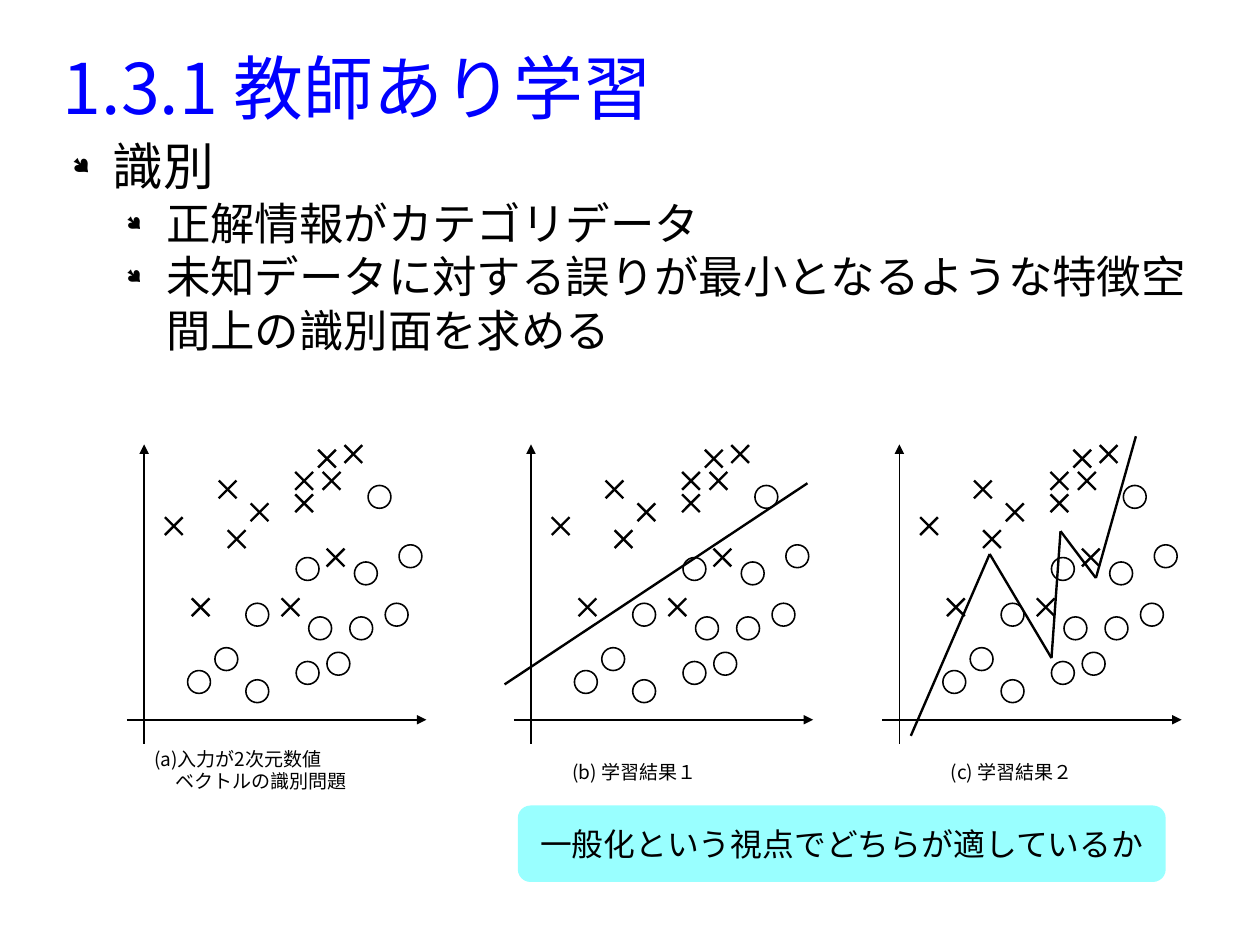
from itertools import pairwise

from lxml import etree
from pptx import Presentation
from pptx.dml.color import RGBColor
from pptx.enum.shapes import MSO_CONNECTOR, MSO_SHAPE
from pptx.enum.text import MSO_ANCHOR, PP_ALIGN
from pptx.oxml.ns import qn
from pptx.util import Pt

STRAIGHT = MSO_CONNECTOR.STRAIGHT
ELLIPSE = MSO_SHAPE.OVAL
ROUNDED = MSO_SHAPE.ROUNDED_RECTANGLE
TOP, MIDDLE = MSO_ANCHOR.TOP, MSO_ANCHOR.MIDDLE
LEFT, CENTER = PP_ALIGN.LEFT, PP_ALIGN.CENTER

CIRCLES = [
    (34.6, 23.8), (51.8, 38.2), (71.3, 66.2), (71.3, 18), (103, 29.5),
    (122.4, 35.3), (110.9, 57.6), (103, 95), (136.8, 57.6), (139.7, 92.2),
    (167.8, 103), (159.1, 66.2), (148.3, 140.4),
]
CROSSES = [
    (18.7, 122), (35.6, 70.9), (92.2, 70.9), (120.6, 102.2), (58.3, 113.8),
    (52.6, 145.1), (72.7, 130.7), (100.8, 136.4), (131.8, 167.4),
    (100.8, 150.5), (118.1, 150.5), (115.2, 164.5),
]
STRAIGHT_BOUNDARY = [(-16.6, 22.3), (174.2, 149)]
JAGGED_BOUNDARY = [
    (7.2, -10.1), (56.9, 104.4), (95.8, 38.9),
    (101.5, 118.8), (123.8, 89.3), (149, 178.6),
]
BASELINE = 453.4


def color(code):
    """Turn a hex string into a colour."""
    return RGBColor.from_string(code)


def apply(target, values):
    """Set every attribute named in a dict of format values."""
    for name, value in values.items():
        setattr(target, name, value)


class SlideBuilder:
    """Hold the style and the current slide."""

    font = "Noto Sans CJK JP"
    ink = "000000"
    title_ink = "0000FF"
    accent = "99FFFF"

    def __init__(self, page):
        """Keep the slide to draw on."""
        self.page = page

    def span(self, para, text, size, ink=None):
        """Add a formatted run to a paragraph."""
        span = para.add_run()
        span.text = text
        apply(span.font, {"size": Pt(size), "name": self.font})
        span.font.color.rgb = color(ink or self.ink)
        props = span.font._element
        etree.SubElement(props, qn("a:ea"), typeface=self.font)

    def frame(self, shape, margins=(0, 0), anchor=TOP, wrap=True):
        """Format a text frame and return it."""
        side, edge = margins
        apply(shape.text_frame, {
            "margin_left": Pt(side), "margin_right": Pt(side),
            "margin_top": Pt(edge), "margin_bottom": Pt(edge),
            "vertical_anchor": anchor, "word_wrap": wrap,
        })
        return shape.text_frame

    def title(self, text, left, top, width, height):
        """Place and format the title placeholder."""
        shape = self.page.shapes.title
        apply(shape, {"left": Pt(left), "top": Pt(top),
                      "width": Pt(width), "height": Pt(height)})
        para = self.frame(shape, anchor=MIDDLE).paragraphs[0]
        apply(para, {"alignment": LEFT, "line_spacing": 1.0})
        self.span(para, text, 44, self.title_ink)

    def text_box(self, left, top, width, height, **layout):
        """Add a text box and return its frame."""
        box = self.page.shapes.add_textbox(
            Pt(left), Pt(top), Pt(width), Pt(height))
        return self.frame(box, **layout)

    def bullets(self, items, left, top, width, height):
        """Add a bulleted list of level, text and size."""
        frame = self.text_box(left, top, width, height)
        for index, (level, text, size) in enumerate(items):
            para = frame.add_paragraph() if index else frame.paragraphs[0]
            para.level = level
            props = para._p.get_or_add_pPr()
            props.set("marL", str(Pt(34 * (level + 1))))
            props.set("indent", str(-Pt(25.2)))
            tint = etree.SubElement(props, qn("a:buClr"))
            etree.SubElement(tint, qn("a:srgbClr"), val=self.ink)
            etree.SubElement(props, qn("a:buSzPct"), val="45000")
            etree.SubElement(props, qn("a:buFont"), typeface="Wingdings",
                             charset="2")
            etree.SubElement(props, qn("a:buChar"), char="●")
            self.span(para, text, size)

    def caption(self, lines, left, top, width, height, hang=13.6):
        """Add a caption whose later lines are indented."""
        frame = self.text_box(left, top, width, height,
                              margins=(7.2, 3.6), wrap=False)
        for index, text in enumerate(lines):
            para = frame.add_paragraph() if index else frame.paragraphs[0]
            if index:
                para._p.get_or_add_pPr().set("marL", str(Pt(hang)))
            self.span(para, text, 12)

    def callout(self, text, left, top, width, height):
        """Add a filled rounded box with centred text."""
        shape = self.page.shapes.add_shape(
            ROUNDED, Pt(left), Pt(top), Pt(width), Pt(height))
        shape.shadow.inherit = False
        shape.fill.solid()
        shape.fill.fore_color.rgb = color(self.accent)
        shape.line.fill.background()
        para = self.frame(shape, (7.2, 3.6), MIDDLE, False).paragraphs[0]
        para.alignment = CENTER
        self.span(para, text, 20)

    def line(self, start, end, width=1.5, arrow=False, shapes=None):
        """Add a straight line, with an arrowhead if asked."""
        points = [Pt(value) for value in (*start, *end)]
        line = (shapes or self.page.shapes).add_connector(STRAIGHT, *points)
        line.line.color.rgb = color(self.ink)
        line.line.width = Pt(width)
        props = line._element.spPr
        if arrow:
            etree.SubElement(props.find(qn("a:ln")), qn("a:tailEnd"),
                             type="triangle")
        etree.SubElement(props, qn("a:effectLst"))

    def circle(self, x, y, radius=7.2):
        """Add an outlined circle around a centre."""
        shape = self.page.shapes.add_shape(
            ELLIPSE, Pt(x - radius), Pt(y - radius),
            Pt(2 * radius), Pt(2 * radius))
        shape.shadow.inherit = False
        shape.fill.background()
        shape.line.color.rgb = color(self.ink)
        shape.line.width = Pt(1)

    def cross(self, x, y, arm=5.6):
        """Add a grouped pair of crossing lines around a centre."""
        shapes = self.page.shapes.add_group_shape().shapes
        for tilt in (arm, -arm):
            self.line((x - arm, y - tilt), (x + arm, y + tilt), shapes=shapes)

    def plot(self, origin, boundary):
        """Add axes, both classes of points and a boundary."""
        def place(point):
            """Map plot offsets to slide points."""
            return origin + point[0], BASELINE - point[1]

        for start, end in (((0, -15.1), (0, 173.5)), ((-10.8, 0), (177.8, 0))):
            self.line(place(start), place(end), width=1, arrow=True)
        for point in CIRCLES:
            self.circle(*place(point))
        for point in CROSSES:
            self.cross(*place(point))
        for start, end in pairwise(boundary):
            self.line(place(start), place(end))


def main():
    """Build and save the slide."""
    deck = Presentation()
    apply(deck, {"slide_width": Pt(793.75), "slide_height": Pt(595.25)})
    builder = SlideBuilder(deck.slides.add_slide(deck.slide_layouts[5]))
    builder.title("1.3.1 教師あり学習", 39.6, 21.6, 714.2, 66.2)
    builder.bullets([
        (0, "識別", 32),
        (1, "正解情報がカテゴリデータ", 28),
        (1, "未知データに対する誤りが最小となるような特徴空間上の識別面を求める", 28),
    ], 36.7, 85, 714.2, 382.3)
    builder.callout("一般化という視点でどちらが適しているか", 326.2, 507.4, 408.2, 48.2)
    builder.caption(["(a)入力が2次元数値", "ベクトルの識別問題"], 90, 467, 169.2, 43.2)
    builder.caption(["(b) 学習結果１"], 353.5, 475.7, 116.6, 28.8)
    builder.caption(["(c) 学習結果２"], 591.8, 475.7, 116.6, 28.8)
    builder.plot(90.8, [])
    builder.plot(334.5, STRAIGHT_BOUNDARY)
    builder.plot(566.6, JAGGED_BOUNDARY)
    deck.save("out.pptx")


if __name__ == "__main__":
    main()
